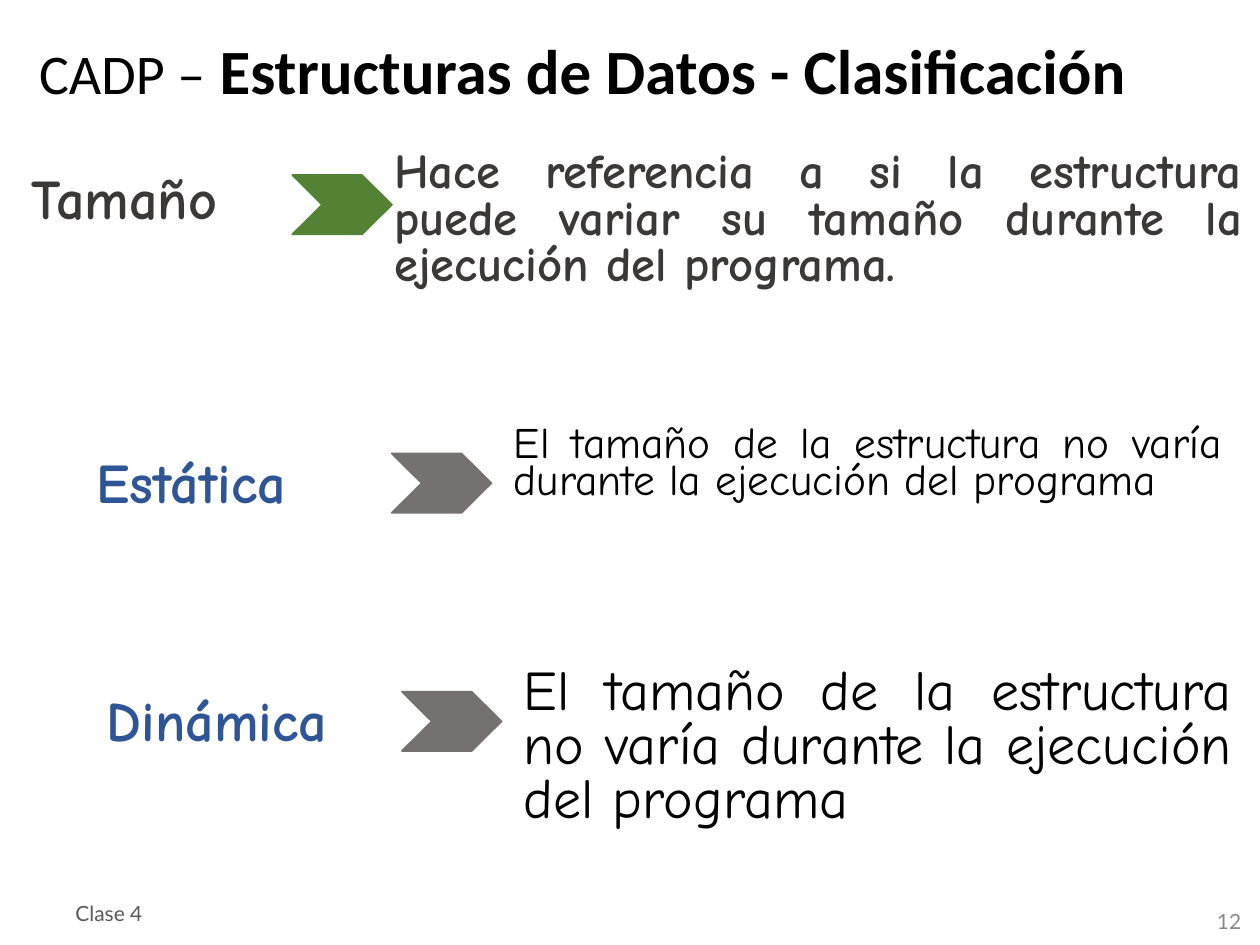
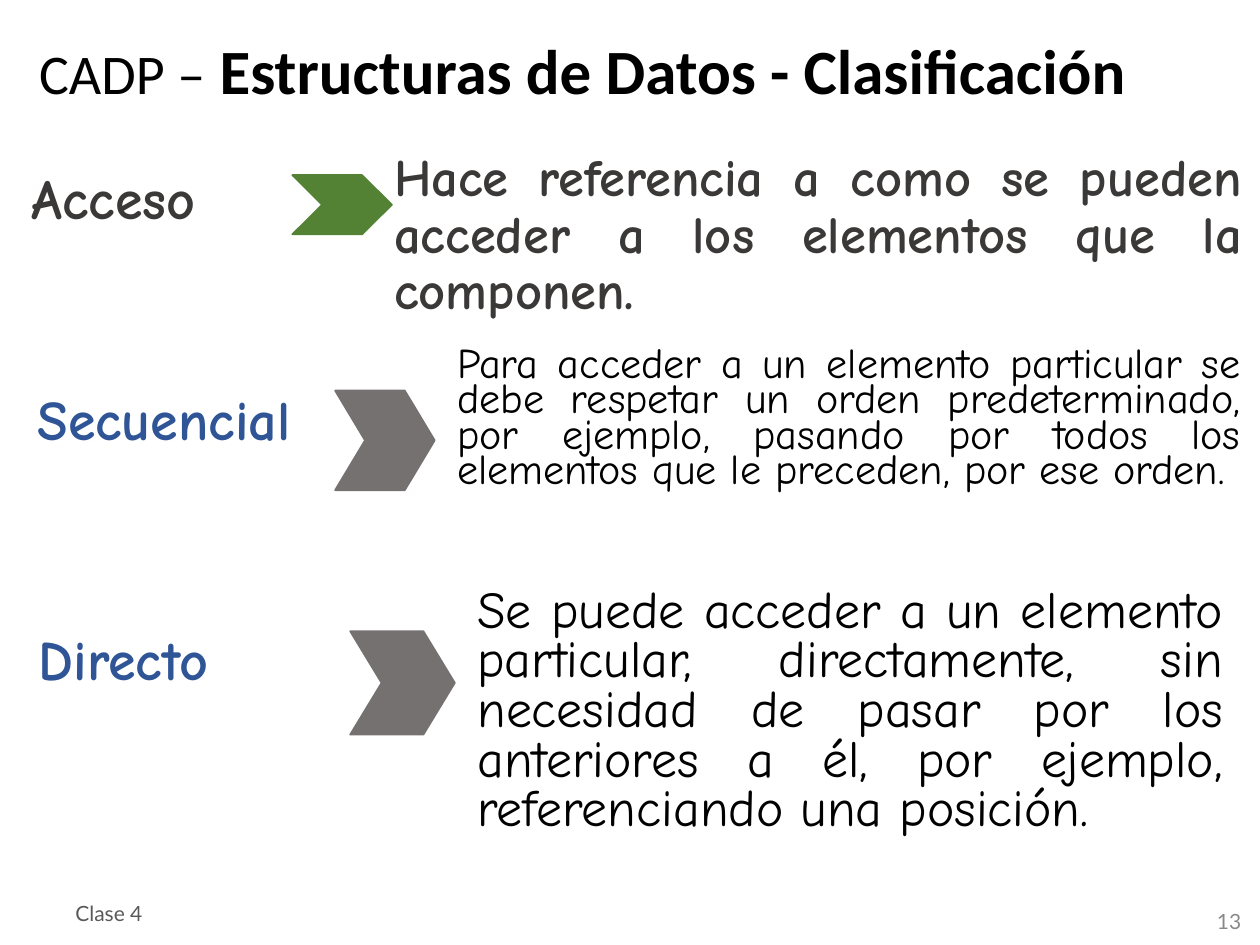
from pptx import Presentation
from pptx.dml.color import RGBColor
from pptx.enum.shapes import MSO_SHAPE
from pptx.enum.text import MSO_ANCHOR, MSO_AUTO_SIZE, PP_ALIGN
from pptx.util import Inches, Pt

CHEVRON = MSO_SHAPE.CHEVRON
TOP, MIDDLE, BOTTOM = MSO_ANCHOR.TOP, MSO_ANCHOR.MIDDLE, MSO_ANCHOR.BOTTOM
FIXED = MSO_AUTO_SIZE.NONE
LEFT, RIGHT, JUST = PP_ALIGN.LEFT, PP_ALIGN.RIGHT, PP_ALIGN.JUSTIFY

BLACK, DARK, BLUE = "000000", "3B3838", "2F5597"
GREEN, GRAY = "548235", "767171"
PALE, SOFT = "898989", "595959"
HAND, PLAIN, SMALL = "Comic Neue", "Calibri", "Lato"
GAP = 0.08


def color(code):
    return RGBColor.from_string(code)


def place(shape, box):
    shape.left, shape.top, shape.width, shape.height = map(Inches, box)


def text(shape, words, size=32, font=HAND, ink=BLACK, bold=False,
         align=JUST, lines=0.9, anchor=TOP):
    frame = shape.text_frame
    frame.word_wrap = True
    frame.auto_size = FIXED
    frame.vertical_anchor = anchor
    frame.margin_left = frame.margin_right = Inches(0.1)
    frame.margin_top = frame.margin_bottom = Inches(0.05)
    para = frame.paragraphs[0]
    para.alignment = align
    para.line_spacing = lines
    para.space_before = Pt(0)
    run = para.add_run()
    run.text = words
    run.font.size = Pt(size)
    run.font.name = font
    run.font.bold = bold
    run.font.color.rgb = color(ink)


def write(slide, box, words, **style):
    text(slide.shapes.add_textbox(*map(Inches, box)), words, **style)


def arrow(slide, box, fill):
    shape = slide.shapes.add_shape(CHEVRON, *map(Inches, box))
    wide, high = box[2:]
    shape.adjustments[0] = 0.3 * wide / min(wide, high)
    shape.shadow.inherit = False
    shape.fill.solid()
    shape.fill.fore_color.rgb = color(fill)
    shape.line.color.rgb = color(fill)
    shape.line.width = Pt(1)


def frame(deck, number):
    slide = deck.slides.add_slide(deck.slide_layouts[0])
    title = slide.shapes.title
    place(title, (0.21, 0.15, 9.28, 0.76))
    style = dict(font=PLAIN, align=LEFT, anchor=BOTTOM)
    text(title, "CADP –", **style)
    text(title, " Estructuras de Datos - Clasificación", size=36, bold=True, **style)
    foot = dict(size=12, font=SMALL, lines=1.0, anchor=MIDDLE)
    write(slide, (7.7, 7.11, 2.25, 0.4), str(number), ink=PALE, align=RIGHT, **foot)
    write(slide, (0.5, 7.05, 2.33, 0.4), "Clase 4", ink=SOFT, align=LEFT, **foot)
    return slide


def topic(slide, box, label, note, size, lines):
    x, y, wide, high = box
    name = slide.placeholders[1]
    place(name, (x, y + 0.16, 2.15, 0.67))
    text(name, label, ink=DARK, bold=True)
    write(slide, (x + 2.88, y, wide - 2.88, high), note,
          size=size, ink=DARK, bold=True, lines=lines)
    arrow(slide, (x + 2.17, y + 0.24, 0.79, 0.47), GREEN)


def kind(slide, box, label, note, size, lines, lead=2.44, drop=0.2, tip=(0.79, 0.47)):
    x, y, wide, high = box
    start = lead + tip[0] + GAP
    write(slide, (x, y + drop, lead, 0.67), label, ink=BLUE, bold=True)
    write(slide, (x + start, y, wide - start, high), note, size=size, lines=lines)
    arrow(slide, (x + lead, y + drop + 0.04, *tip), GRAY)


def main():
    deck = Presentation()
    deck.slide_width, deck.slide_height = Inches(10), Inches(7.5)
    head = (0.15, 1.15, 9.81, 1.46)

    slide = frame(deck, 12)
    topic(slide, head, "Tamaño",
          "Hace referencia a si la estructura puede variar su tamaño "
          "durante la ejecución del programa.", 27.8, 0.8)
    fixed = "El tamaño de la estructura no varía durante la ejecución del programa"
    kind(slide, (0.67, 3.36, 9.13, 1.02), "Estática", fixed, 24.8, 0.7)
    kind(slide, (0.75, 5.25, 9.13, 1.5), "Dinámica", fixed, 32, 0.8)

    slide = frame(deck, 13)
    topic(slide, head, "Acceso",
          "Hace referencia a como se pueden acceder a los elementos "
          "que la componen.", 30, 0.9)
    kind(slide, (0.2, 2.73, 9.75, 1.7), "Secuencial",
         "Para acceder a un elemento particular se debe respetar un orden "
         "predeterminado, por ejemplo, pasando por todos los elementos que "
         "le preceden, por ese orden.", 24.1, 0.7,
         lead=2.46, drop=0.33, tip=(0.79, 0.79))
    kind(slide, (0.21, 4.62, 9.6, 2.6), "Directo",
         "Se puede acceder a un elemento particular, directamente, sin "
         "necesidad de pasar por los anteriores a él, por ejemplo, "
         "referenciando una posición.", 29.6, 0.8,
         lead=2.57, drop=0.35, tip=(0.83, 0.82))

    deck.save("out.pptx")


if __name__ == "__main__":
    main()
